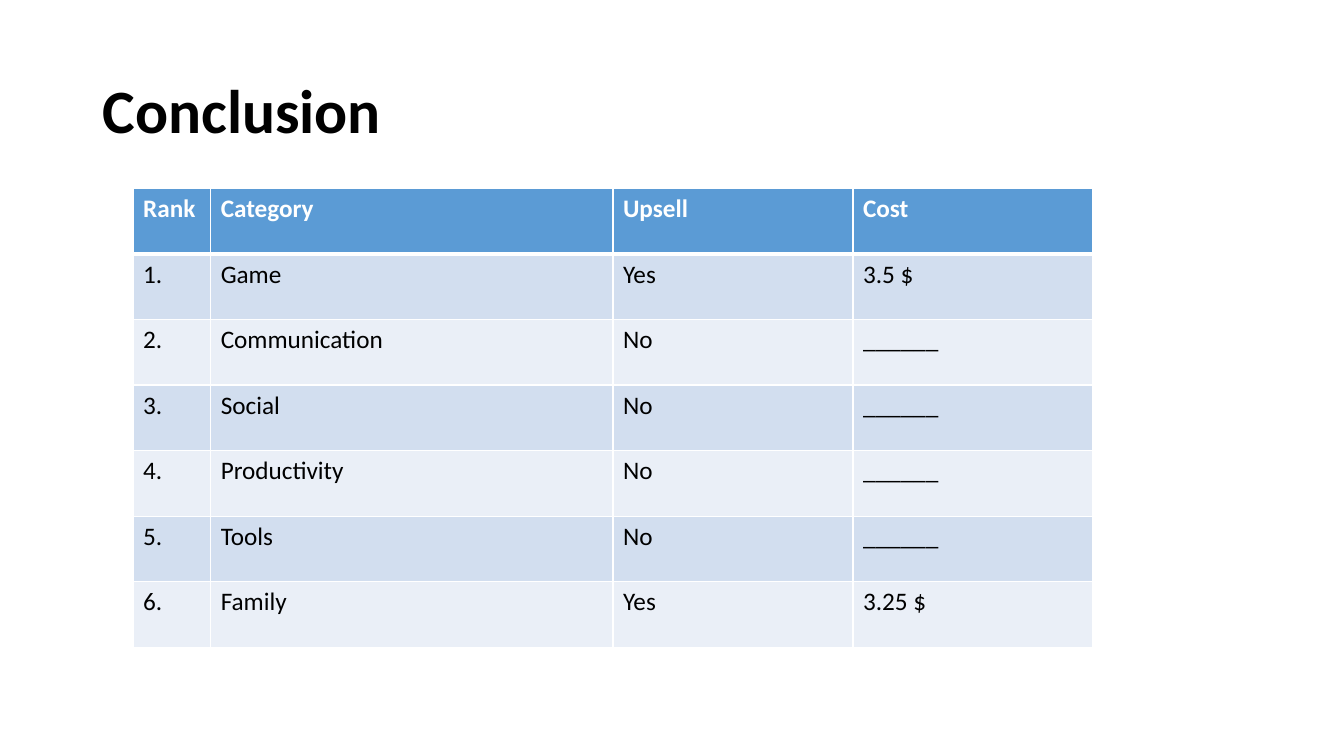
from lxml.etree import SubElement
from pptx import Presentation
from pptx.dml.color import RGBColor
from pptx.enum.text import MSO_ANCHOR
from pptx.oxml.ns import qn
from pptx.util import Inches, Pt

BLACK = RGBColor(0x00, 0x00, 0x00)
WHITE = RGBColor(0xFF, 0xFF, 0xFF)
HEADER_BLUE = RGBColor(0x5B, 0x9B, 0xD5)
BAND_DARK = RGBColor(0xD2, 0xDE, 0xEF)
BAND_LIGHT = RGBColor(0xEA, 0xEF, 0xF7)

FONT = "Calibri"
COLUMN_WIDTHS = (0.77, 3.99, 2.38, 2.38)
HEADINGS = ("Rank", "Category", "Upsell", "Cost")
NO_COST = "______"
CATEGORIES = (
    ("Game", "Yes", "3.5 $"),
    ("Communication", "No", NO_COST),
    ("Social", "No", NO_COST),
    ("Productivity", "No", NO_COST),
    ("Tools", "No", NO_COST),
    ("Family", "Yes", "3.25 $"),
)


def write(frame, text, size=18, color=BLACK, bold=False, line_spacing=None):
    paragraph = frame.paragraphs[0]
    paragraph.line_spacing = line_spacing
    run = paragraph.add_run()
    run.text = text
    run.font.name = FONT
    run.font.size = Pt(size)
    run.font.bold = bold
    run.font.color.rgb = color


def set_borders(cell, **widths):
    """Draw white cell borders; widths in points by side: L, R, T, B."""
    properties = cell._tc.get_or_add_tcPr()
    for side in "LRTB":
        line = SubElement(properties, qn(f"a:ln{side}"), w=str(Pt(widths.get(side, 1))))
        fill = SubElement(line, qn("a:solidFill"))
        SubElement(fill, qn("a:srgbClr"), val=str(WHITE))


def add_title(slide, left, top, width, height):
    title = slide.shapes.add_textbox(Inches(left), Inches(top), Inches(width), Inches(height))
    frame = title.text_frame
    frame.word_wrap = True
    frame.vertical_anchor = MSO_ANCHOR.MIDDLE
    write(frame, "Conclusion", size=44, bold=True, line_spacing=0.9)


def add_ranking(slide, left, top, width, height):
    rows = [HEADINGS]
    rows += [(f"{rank}.", *entry) for rank, entry in enumerate(CATEGORIES, 1)]
    ranking = slide.shapes.add_table(
        len(rows), len(HEADINGS), Inches(left), Inches(top), Inches(width), Inches(height)
    ).table
    for column, column_width in zip(ranking.columns, COLUMN_WIDTHS):
        column.width = Inches(column_width)

    for r, entries in enumerate(rows):
        is_header = r == 0
        band = HEADER_BLUE if is_header else BAND_DARK if r % 2 else BAND_LIGHT
        for c, text in enumerate(entries):
            cell = ranking.cell(r, c)
            # The rule under the header is thicker than the rest
            set_borders(cell, T=3 if r == 1 else 1, B=3 if is_header else 1)
            cell.fill.solid()
            cell.fill.fore_color.rgb = band
            write(cell.text_frame, text, color=WHITE if is_header else BLACK, bold=is_header)


def main():
    deck = Presentation()
    deck.slide_width = Inches(13.33)
    deck.slide_height = Inches(7.5)
    slide = deck.slides.add_slide(deck.slide_layouts[6])
    add_title(slide, 0.92, 0.4, 11.5, 1.45)
    add_ranking(slide, 1.32, 1.87, sum(COLUMN_WIDTHS), 4.55)
    deck.save("out.pptx")


if __name__ == "__main__":
    main()
